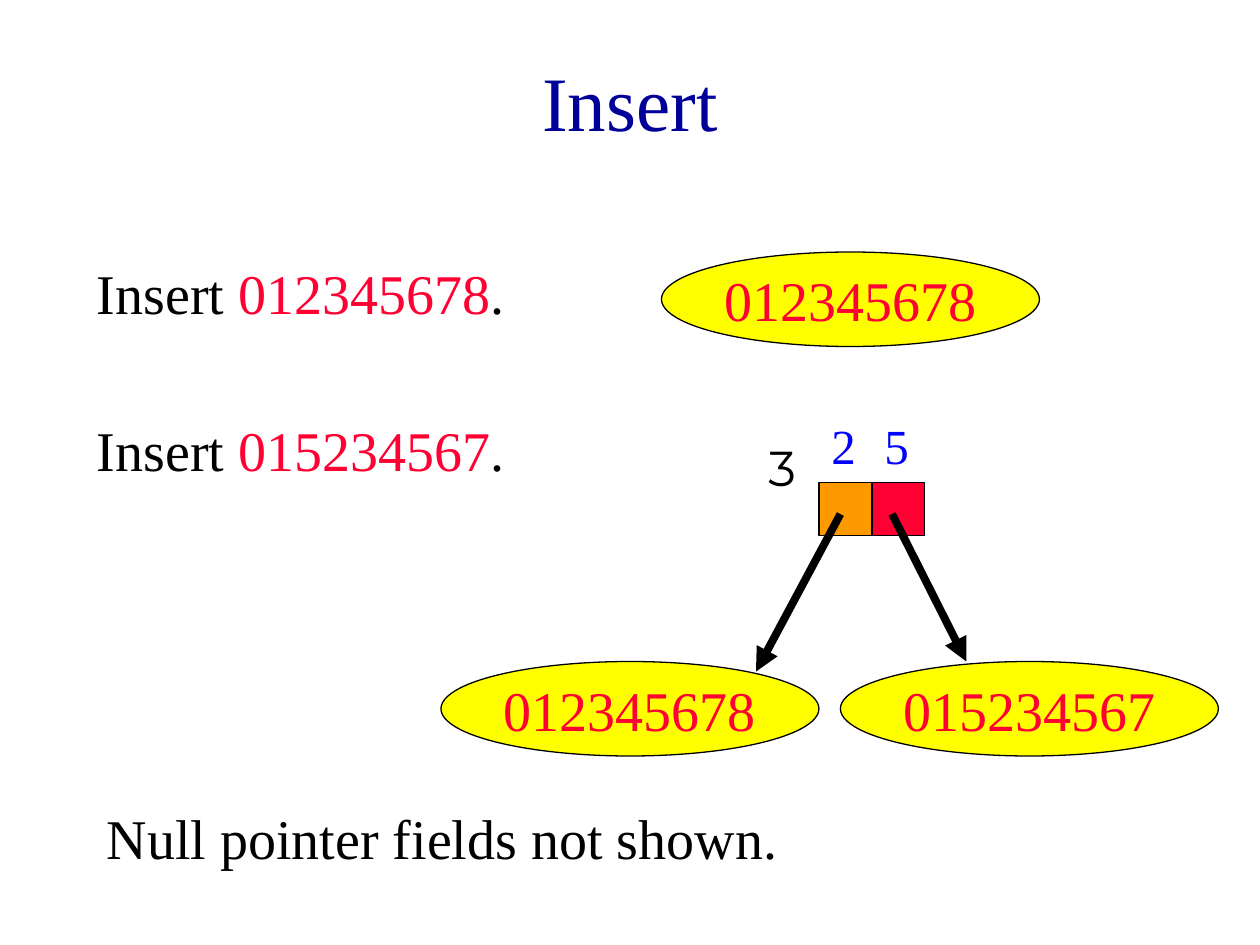
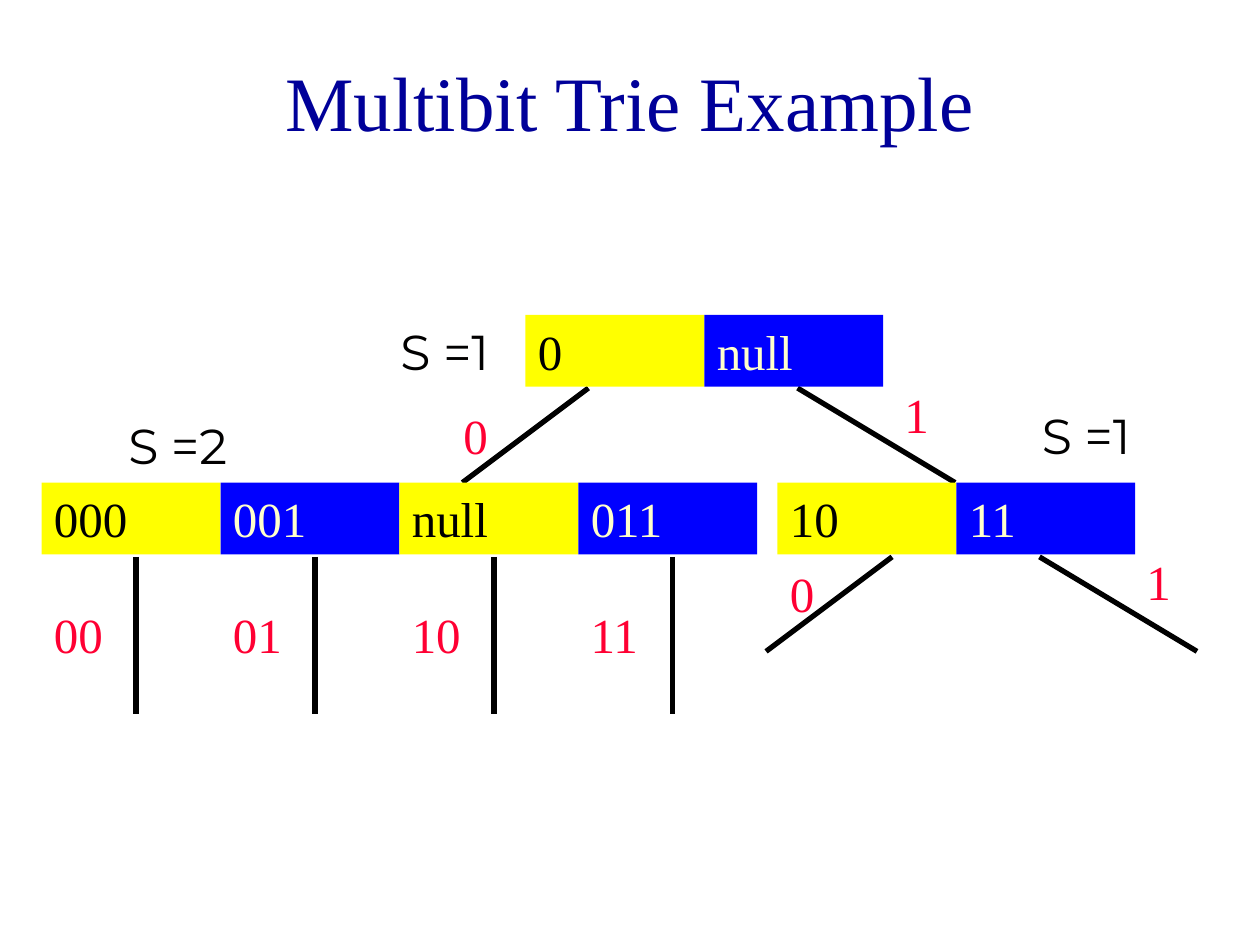
from dataclasses import dataclass

from lxml.etree import SubElement
from pptx import Presentation
from pptx.dml.color import RGBColor
from pptx.enum.shapes import MSO_CONNECTOR, MSO_SHAPE
from pptx.enum.text import MSO_ANCHOR, PP_ALIGN
from pptx.oxml.ns import qn
from pptx.util import Inches, Pt

BLACK = RGBColor(0x00, 0x00, 0x00)
NEAR_BLACK = RGBColor(0x01, 0x00, 0x00)
WHITE = RGBColor(0xFF, 0xFF, 0xFF)
CREAM = RGBColor(0xFF, 0xFF, 0xCC)
NAVY = RGBColor(0x00, 0x00, 0x99)
BLUE = RGBColor(0x00, 0x00, 0xFF)
RED = RGBColor(0xFF, 0x00, 0x33)
ORANGE = RGBColor(0xFF, 0x99, 0x00)
YELLOW = RGBColor(0xFF, 0xFF, 0x00)

SERIF = "Times New Roman"
SANS = "Montserrat"

LABEL_H = 0.57
CELL_W = 1.42
BRANCH_W = 0.42


@dataclass(frozen=True)
class Box:
    x: float
    y: float
    w: float
    h: float = LABEL_H

    def lengths(self):
        return [Inches(v) for v in (self.x, self.y, self.w, self.h)]


@dataclass(frozen=True)
class Edge:
    x1: float
    y1: float
    x2: float
    y2: float


@dataclass(frozen=True)
class TrieNode:
    x: float
    y: float
    cells: tuple[str, ...]


@dataclass(frozen=True)
class Label:
    text: str
    box: Box


def write(sp, text, *, size=28, color=BLACK, font=SERIF,
          align=PP_ALIGN.LEFT, anchor=MSO_ANCHOR.TOP, wrap=True):
    """Fill a shape with text: a string, or (string, colour) pairs."""
    tf = sp.text_frame
    tf.word_wrap = wrap
    tf.vertical_anchor = anchor
    p = tf.paragraphs[0]
    p.alignment = align
    for part, part_color in [(text, color)] if isinstance(text, str) else text:
        r = p.add_run()
        r.text = part
        r.font.name = font
        r.font.size = Pt(size)
        r.font.color.rgb = part_color


def add_text(slide, text, box: Box, **style):
    sp = slide.shapes.add_textbox(*box.lengths())
    write(sp, text, **style)
    return sp


def add_box(slide, box: Box, fill: RGBColor, *, shape=MSO_SHAPE.RECTANGLE,
            outlined=False):
    sp = slide.shapes.add_shape(shape, *box.lengths())
    sp.shadow.inherit = False
    sp.fill.solid()
    sp.fill.fore_color.rgb = fill
    if outlined:
        sp.line.color.rgb = BLACK
        sp.line.width = Pt(0.75)
    else:
        sp.line.fill.background()
    return sp


def add_edge(slide, edge: Edge, *, width=3.0, arrow=False):
    ends = [Inches(v) for v in (edge.x1, edge.y1, edge.x2, edge.y2)]
    cxn = slide.shapes.add_connector(MSO_CONNECTOR.STRAIGHT, *ends)
    cxn.line.color.rgb = BLACK
    cxn.line.width = Pt(width)
    if arrow:
        SubElement(cxn.line._get_or_add_ln(), qn("a:tailEnd"), type="triangle")
    SubElement(cxn._element.spPr, qn("a:effectLst"))


def add_slide(prs, title: str):
    slide = prs.slides.add_slide(prs.slide_layouts[6])
    add_text(slide, title, Box(0.75, 0.17, 8.5, 1.25), size=44, color=NAVY,
             align=PP_ALIGN.CENTER, anchor=MSO_ANCHOR.MIDDLE)
    return slide


def add_statement(slide, text, box: Box):
    write(add_box(slide, box, WHITE), text, size=32)


def add_key(slide, key: str, x: float, y: float):
    """Draw an element node: an ellipse that holds its key."""
    sp = add_box(slide, Box(x, y, 3, 0.75), YELLOW,
                 shape=MSO_SHAPE.OVAL, outlined=True)
    write(sp, key, size=32, color=RED, align=PP_ALIGN.CENTER,
          anchor=MSO_ANCHOR.MIDDLE, wrap=False)


def add_trie_node(slide, node: TrieNode):
    for i, text in enumerate(node.cells):
        fill, color = ((YELLOW, BLACK), (BLUE, CREAM))[i % 2]
        box = Box(node.x + i * CELL_W, node.y, CELL_W)
        write(add_box(slide, box, fill), text, color=color)


def build_insert(prs):
    slide = add_slide(prs, "Insert")
    first, second = "012345678", "015234567"
    for key, y in ((first, 2), (second, 3.25)):
        parts = [("Insert ", BLACK), (key, RED), (".", BLACK)]
        add_statement(slide, parts, Box(0.67, y, 3.67, 0.75))
    add_statement(slide, "Null pointer fields not shown.",
                  Box(0.75, 6.33, 5.58, 0.75))
    add_key(slide, first, 5.25, 2)

    for i, (digit, fill) in enumerate((("2", ORANGE), ("5", RED))):
        x = 6.5 + i * BRANCH_W
        add_box(slide, Box(x, 3.83, BRANCH_W, BRANCH_W), fill, outlined=True)
        add_text(slide, digit, Box(x, 3.25, 0.35), color=BLUE)
    for edge in (Edge(6.67, 4.08, 6, 5.33), Edge(7.08, 4.08, 7.67, 5.25)):
        add_edge(slide, edge, width=4.5, arrow=True)
    add_key(slide, first, 3.5, 5.25)
    add_key(slide, second, 6.67, 5.25)
    add_text(slide, "3", Box(6, 3.42, 0.67), font=SANS, color=NEAR_BLACK)


def build_trie(prs):
    slide = add_slide(prs, "Multibit Trie Example")
    root = TrieNode(4.17, 2.5, ("0", "null"))
    left = TrieNode(0.33, 3.83, ("000", "001", "null", "011"))
    right = TrieNode(6.17, 3.83, ("10", "11"))
    edges = [
        Edge(4.67, 3.08, 3.67, 3.83),
        Edge(6.33, 3.08, 7.58, 3.83),
        Edge(7.08, 4.42, 6.08, 5.17),
        Edge(8.25, 4.42, 9.5, 5.17),
    ]
    bits = [
        Label("0", Box(3.58, 3.17, 0.5)),
        Label("1", Box(7.08, 3, 0.5)),
        Label("0", Box(6.17, 4.42, 0.5)),
        Label("1", Box(9, 4.33, 0.5)),
    ]
    strides = [
        Label("S =1", Box(3.08, 2.5, CELL_W)),
        Label("S =2", Box(0.92, 3.25, CELL_W)),
        Label("S =1", Box(8.17, 3.17, CELL_W)),
    ]
    for i in range(len(left.cells)):
        x = left.x + i * CELL_W
        edges.append(Edge(x + 0.75, 4.42, x + 0.75, 5.67))
        bits.append(Label(f"{i:02b}", Box(x, 4.75, 0.67)))

    for edge in edges:
        add_edge(slide, edge)
    for node in (root, left, right):
        add_trie_node(slide, node)
    for bit in bits:
        add_text(slide, bit.text, bit.box, color=RED)
    for stride in strides:
        add_text(slide, stride.text, stride.box, font=SANS, color=NEAR_BLACK)


def main():
    prs = Presentation()
    prs.slide_width = Inches(10)
    prs.slide_height = Inches(7.5)
    build_insert(prs)
    build_trie(prs)
    prs.save("out.pptx")


if __name__ == "__main__":
    main()
